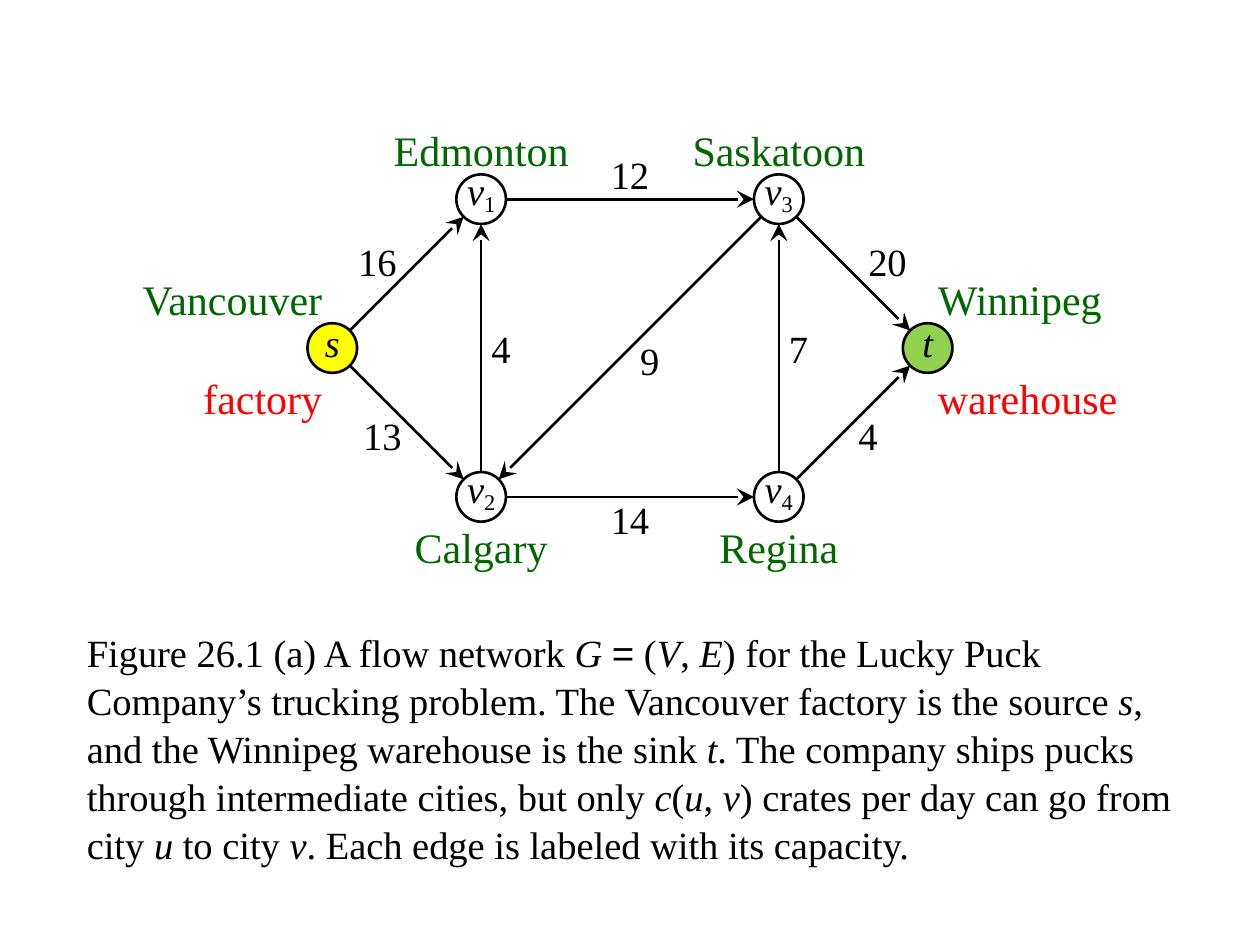
from math import hypot

from lxml.etree import SubElement
from pptx import Presentation
from pptx.dml.color import RGBColor
from pptx.enum.shapes import MSO_CONNECTOR, MSO_SHAPE
from pptx.enum.text import MSO_ANCHOR, PP_ALIGN
from pptx.oxml.ns import qn
from pptx.util import Pt

COLORS = {"black": "000000", "white": "FFFFFF", "yellow": "FFFF00",
          "lime": "92D050", "green": "006600", "red": "FF0000"}
FONT = "Times New Roman"
UNIT = 28.35  # node diameter; the network is laid out on this grid
CENTER_X, CENTER_Y = 360, 198.9
ALIGN = {"l": PP_ALIGN.LEFT, "c": PP_ALIGN.CENTER, "r": PP_ALIGN.RIGHT}

# name: (column, row in grid units, fill)
NODES = {
    "v1": (-3, -3, "white"), "v2": (-3, 3, "white"),
    "v3": (3, -3, "white"), "v4": (3, 3, "white"),
    "s": (-6, 0, "yellow"), "t": (6, 0, "lime"),
}
# text, node, side (-1 above, 1 below), alignment, gap, color
PLACES = [
    ("Vancouver", "s", -1, "r", -5.8, "green"),
    ("factory", "s", 1, "r", -5.8, "red"),
    ("Edmonton", "v1", -1, "c", 0, "green"),
    ("Calgary", "v2", 1, "c", 0, "green"),
    ("Saskatoon", "v3", -1, "c", 0, "green"),
    ("Regina", "v4", 1, "c", 0, "green"),
    ("Winnipeg", "t", -1, "l", 5.8, "green"),
    ("warehouse", "t", 1, "l", 5.8, "red"),
]
# from, to, capacity, label alignment, label offset from the edge's middle
EDGES = [
    ("s", "v1", 16, "r", -5.8, -7.1),
    ("s", "v2", 13, "r", -2.9, 7.1),
    ("v1", "v3", 12, "c", 0, -14.2),
    ("v2", "v1", 4, "l", 5.8, 0),
    ("v3", "v2", 9, "l", 5.8, 7.1),
    ("v2", "v4", 14, "c", 0, 12.8),
    ("v4", "v3", 7, "l", 5.8, 0),
    ("v3", "t", 20, "l", 8.6, -7.1),
    ("v4", "t", 4, "l", 2.9, 7.1),
]
# asterisks enclose italics
CAPTION = ("Figure 26.1 (a) A flow network *G *=** (*V*, *E*) for the Lucky Puck "
           "Company’s trucking problem. The Vancouver factory is the source *s*, "
           "and the Winnipeg warehouse is the sink *t*. The company ships pucks "
           "through intermediate cities, but only *c*(*u*, *v*) crates per day can "
           "go from city *u* to city *v*. Each edge is labeled with its capacity.")


def rgb(name):
    return RGBColor.from_string(COLORS[name])


def style(font, size, color="black", italic=False, name=FONT):
    font.name, font.size, font.italic = name, Pt(size), italic
    font.color.rgb = rgb(color)


def set_frame(tf, anchor, inset=0):
    tf.word_wrap = True
    tf.vertical_anchor = anchor
    tf.margin_left = tf.margin_right = Pt(inset)
    tf.margin_top = tf.margin_bottom = 0


def add_label(s, text, x, y, align, size, color="black", width=4 * UNIT):
    """Put a one-line label at x (its left, middle or right) and middle y."""
    left = x - {"l": 0, "c": width / 2, "r": width}[align]
    sp = s.shapes.add_textbox(Pt(left), Pt(y - UNIT / 2), Pt(width), Pt(UNIT))
    tf = sp.text_frame
    set_frame(tf, MSO_ANCHOR.MIDDLE)
    tf.text = text
    p = tf.paragraphs[0]
    p.alignment = ALIGN[align]
    style(p.runs[0].font, size, color)


def add_node(s, name, x, y, fill):
    sp = s.shapes.add_shape(MSO_SHAPE.OVAL, Pt(x - UNIT / 2), Pt(y - UNIT / 2),
                            Pt(UNIT), Pt(UNIT))
    sp.shadow.inherit = False
    sp.fill.solid()
    sp.fill.fore_color.rgb = rgb(fill)
    sp.line.color.rgb = rgb("black")
    sp.line.width = Pt(1.5)
    set_frame(sp.text_frame, MSO_ANCHOR.BOTTOM)
    p = sp.text_frame.paragraphs[0]
    p.alignment = PP_ALIGN.CENTER
    letter, index = name[0], name[1:]
    p.text = letter
    style(p.runs[0].font, 22, italic=True)
    if index:
        r = p.add_run()
        r.text = index
        style(r.font, 22)
        r._r.get_or_add_rPr().set("baseline", "-18000")


def add_arrow(s, start, end):
    """Draw from rim to rim between two node centers."""
    (x1, y1), (x2, y2) = start, end
    length = hypot(x2 - x1, y2 - y1)
    dx, dy = ((x2 - x1) * UNIT / 2 / length, (y2 - y1) * UNIT / 2 / length)
    line = s.shapes.add_connector(MSO_CONNECTOR.STRAIGHT, Pt(x1 + dx), Pt(y1 + dy),
                                  Pt(x2 - dx), Pt(y2 - dy))
    line.line.color.rgb = rgb("black")
    line.line.width = Pt(1.5)
    SubElement(line.line._get_or_add_ln(), qn("a:tailEnd"),
               type="stealth", w="lg", len="lg")
    SubElement(line._element.spPr, qn("a:effectLst"))


def add_caption(s):
    sp = s.shapes.add_textbox(Pt(48.2), Pt(358.5), Pt(623.5), Pt(138))
    set_frame(sp.text_frame, MSO_ANCHOR.TOP, 1.44)
    p = sp.text_frame.paragraphs[0]
    p.line_spacing = 1.04
    for i, part in enumerate(CAPTION.split("*")):
        if part:
            r = p.add_run()
            r.text = part
            style(r.font, 22, italic=i % 2 == 1, name="Arial" if part == "=" else FONT)


def main():
    prs = Presentation()
    prs.slide_width, prs.slide_height = Pt(720), Pt(540)
    s = prs.slides.add_slide(prs.slide_layouts[6])
    centers = {name: (CENTER_X + col * UNIT, CENTER_Y + row * UNIT)
               for name, (col, row, _) in NODES.items()}

    # Caption
    add_caption(s)

    # City names and roles
    for text, node, side, align, gap, color in PLACES:
        x, y = centers[node]
        add_label(s, text, x + gap, y + side * UNIT, align, 24, color)

    # Nodes
    for name, (_, _, fill) in NODES.items():
        add_node(s, name, *centers[name], fill)

    # Edges and capacities
    for a, b, capacity, align, dx, dy in EDGES:
        (x1, y1), (x2, y2) = centers[a], centers[b]
        add_arrow(s, centers[a], centers[b])
        add_label(s, str(capacity), (x1 + x2) / 2 + dx, (y1 + y2) / 2 + dy,
                  align, 22, width=UNIT)

    prs.save("out.pptx")


if __name__ == "__main__":
    main()
